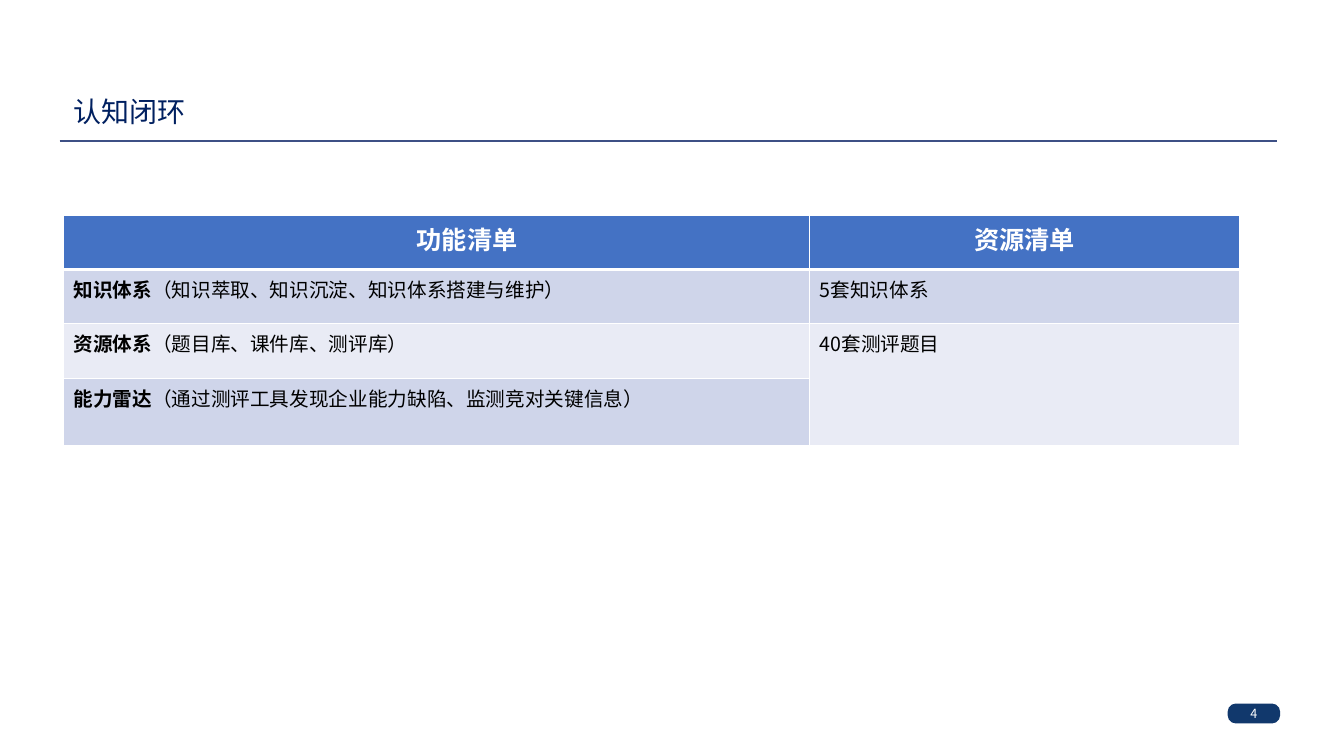
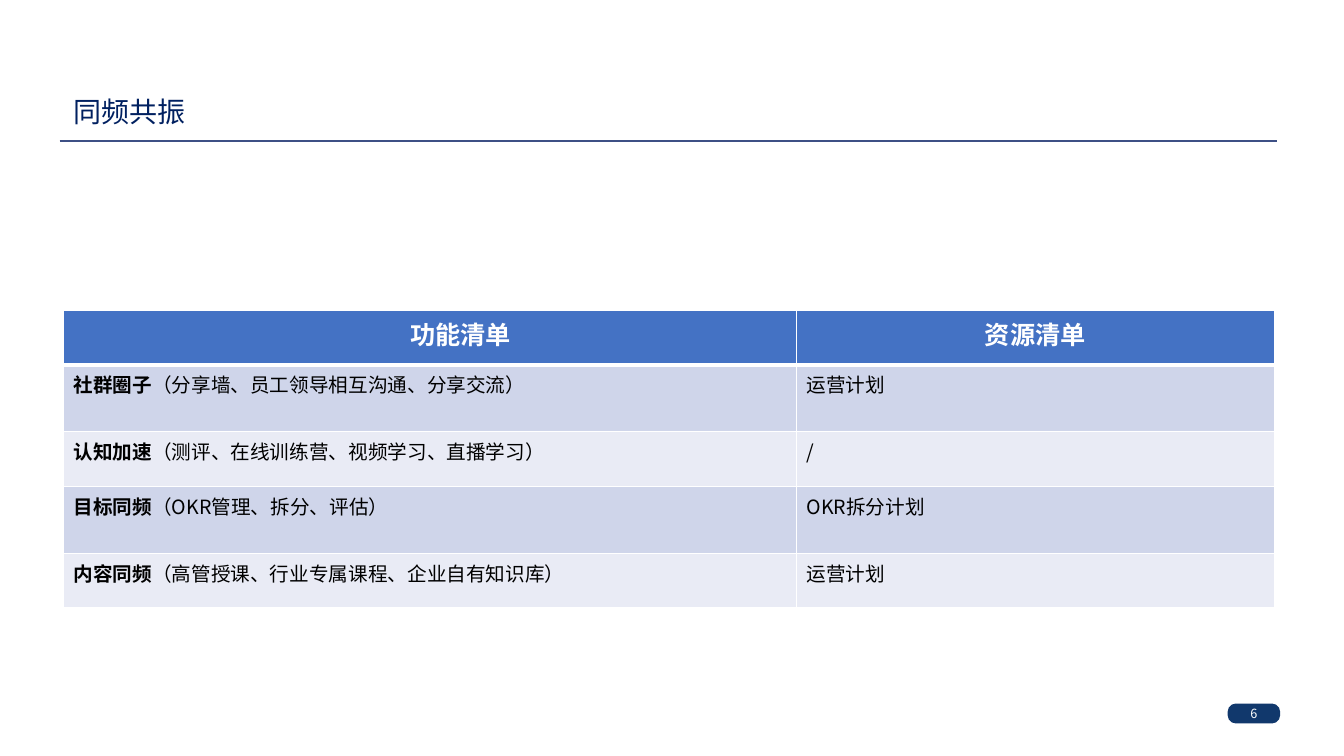
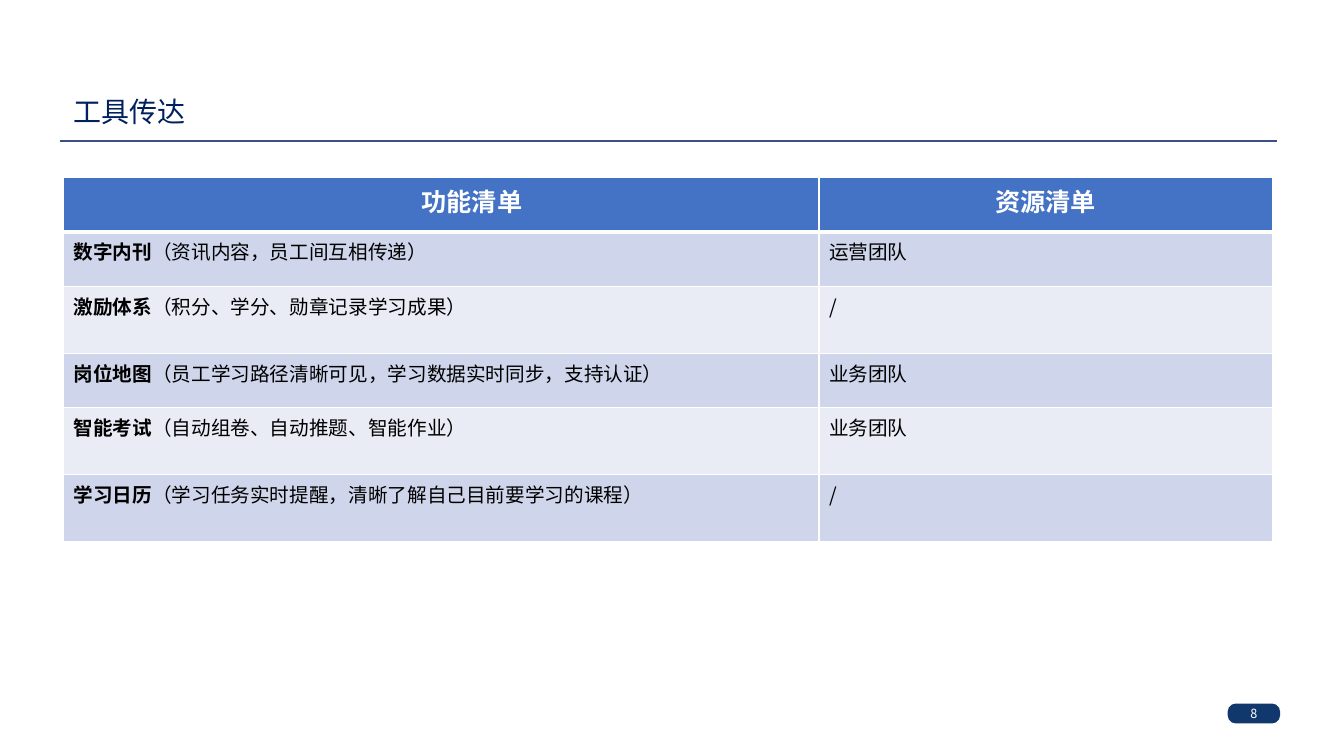
"""Build three slides that list functions and resources in tables."""
from lxml import etree
from pptx import Presentation
from pptx.dml.color import RGBColor
from pptx.enum.shapes import MSO_CONNECTOR, MSO_SHAPE
from pptx.enum.text import MSO_ANCHOR, PP_ALIGN
from pptx.oxml.ns import qn
from pptx.util import Cm, Pt

LINE = MSO_CONNECTOR.STRAIGHT
ROUND = MSO_SHAPE.ROUNDED_RECTANGLE
MIDDLE = MSO_ANCHOR.MIDDLE
LEFT, CENTER = PP_ALIGN.LEFT, PP_ALIGN.CENTER

WHITE = RGBColor(0xFF, 0xFF, 0xFF)
BLACK = RGBColor(0x00, 0x00, 0x00)
NAVY = RGBColor(0x00, 0x20, 0x60)
RULE = RGBColor(0x3D, 0x50, 0x85)
BADGE = RGBColor(0x11, 0x38, 0x6C)
HEAD = RGBColor(0x44, 0x72, 0xC4)
BANDS = (RGBColor(0xCF, 0xD5, 0xEA), RGBColor(0xE9, 0xEB, 0xF5))
SANS = "Noto Sans CJK SC"
EDGE = Cm(1.6)
LOW, HIGH = Cm(1.37), Cm(1.69)

SLIDES = [
    ("认知闭环", "4", Cm(5.42), (Cm(18.8), Cm(10.85)), [
        ("知识体系", "（知识萃取、知识沉淀、知识体系搭建与维护）", "5套知识体系", LOW),
        ("资源体系", "（题目库、课件库、测评库）", "40套测评题目", LOW),
        ("能力雷达", "（通过测评工具发现企业能力缺陷、监测竞对关键信息）", None, HIGH),
    ]),
    ("同频共振", "6", Cm(7.82), (Cm(18.47), Cm(12.04)), [
        ("社群圈子", "（分享墙、员工领导相互沟通、分享交流）", "运营计划", HIGH),
        ("认知加速", "（测评、在线训练营、视频学习、直播学习）", "/", LOW),
        ("目标同频", "（OKR管理、拆分、评估）", "OKR拆分计划", HIGH),
        ("内容同频", "（高管授课、行业专属课程、企业自有知识库）", "运营计划", LOW),
    ]),
    ("工具传达", "8", Cm(4.47), (Cm(19.04), Cm(11.42)), [
        ("数字内刊", "（资讯内容，员工间互相传递）", "运营团队", LOW),
        ("激励体系", "（积分、学分、勋章记录学习成果）", "/", HIGH),
        ("岗位地图", "（员工学习路径清晰可见，学习数据实时同步，支持认证）", "业务团队", LOW),
        ("智能考试", "（自动组卷、自动推题、智能作业）", "业务团队", HIGH),
        ("学习日历", "（学习任务实时提醒，清晰了解自己目前要学习的课程）", "/", HIGH),
    ]),
]


def write(para, text, size, color, bold=False, face=SANS):
    run = para.add_run()
    run.text = text
    font = run.font
    font.size, font.bold, font.name = Pt(size), bold, face
    font.color.rgb = color
    latin = run._r.rPr.find(qn("a:latin"))
    east = etree.Element(qn("a:ea"), typeface=SANS)
    latin.addnext(east)


def paint(cell, color, base):
    cell.fill.solid()
    cell.fill.fore_color.rgb = color
    props = cell._tc.get_or_add_tcPr()
    widths = {"lnL": 1, "lnR": 1, "lnT": 1, "lnB": base}
    for spot, (side, width) in enumerate(widths.items()):
        edge = etree.Element(qn("a:" + side), w=str(Pt(width)))
        fill = etree.SubElement(edge, qn("a:solidFill"))
        etree.SubElement(fill, qn("a:srgbClr"), val=str(WHITE))
        props.insert(spot, edge)


deck = Presentation()
deck.slide_width, deck.slide_height = Cm(33.87), Cm(19.05)

for name, number, top, widths, items in SLIDES:
    slide = deck.slides.add_slide(deck.slide_layouts[5])

    rule = slide.shapes.add_connector(LINE, Cm(1.5), Cm(3.56), Cm(32.18), Cm(3.56))
    rule.line.color.rgb = RULE
    rule.line.width = Pt(1.25)
    etree.SubElement(rule._element.spPr, qn("a:effectLst"))

    badge = slide.shapes.add_shape(ROUND, Cm(30.94), Cm(17.73), Cm(1.32), Cm(0.5))
    badge.adjustments[0] = 0.4
    badge.shadow.inherit = False
    badge.fill.solid()
    badge.fill.fore_color.rgb = BADGE
    badge.line.fill.background()
    frame = badge.text_frame
    frame.margin_top = frame.margin_bottom = 0
    frame.vertical_anchor = MIDDLE
    frame.paragraphs[0].alignment = CENTER
    write(frame.paragraphs[0], number, 9, WHITE)

    title = slide.shapes.title
    title.left, title.top, title.width, title.height = EDGE, Cm(2.26), Cm(26.5), Cm(1.2)
    title.text_frame.vertical_anchor = MIDDLE
    para = title.text_frame.paragraphs[0]
    para.alignment = LEFT
    para.line_spacing = 0.9
    write(para, name, 20, NAVY, face="Arial")

    high = LOW + sum(item[3] for item in items)
    table = slide.shapes.add_table(len(items) + 1, 2, EDGE, top, sum(widths), high).table
    table.rows[0].height = LOW
    for col, label in enumerate(("功能清单", "资源清单")):
        table.columns[col].width = widths[col]
        cell = table.cell(0, col)
        paint(cell, HEAD, 3)
        cell.text_frame.paragraphs[0].alignment = CENTER
        write(cell.text_frame.paragraphs[0], label, 18, WHITE, True)
    table.cell(0, 0).margin_left = Cm(1.8)

    for row, (term, note, source, height) in enumerate(items, 1):
        table.rows[row].height = height
        left, right = table.cell(row, 0), table.cell(row, 1)
        for cell in (left, right):
            paint(cell, BANDS[(row - 1) % 2], 1)
        para = left.text_frame.paragraphs[0]
        write(para, term, 14, BLACK, True)
        write(para, note, 14, BLACK)
        if source is None:
            table.cell(row - 1, 1).merge(right)
        else:
            write(right.text_frame.paragraphs[0], source, 14, BLACK)

deck.save("out.pptx")
